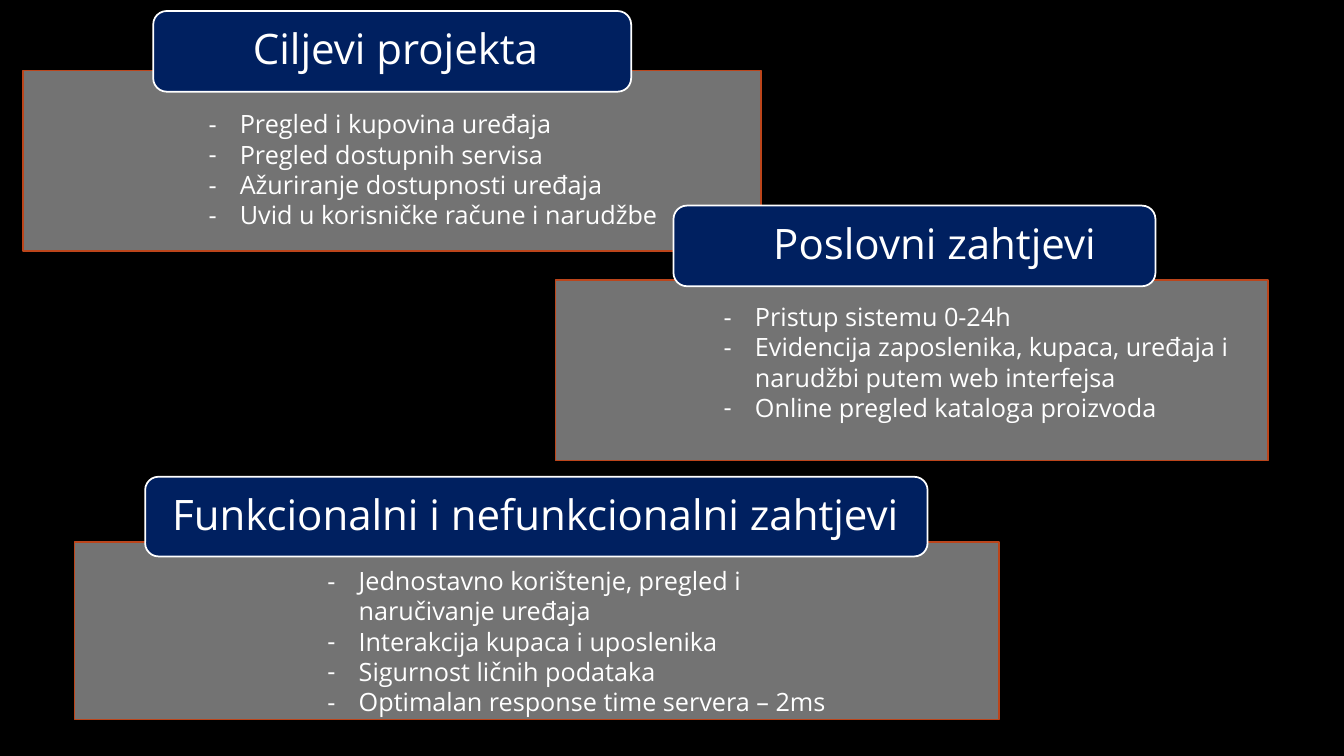
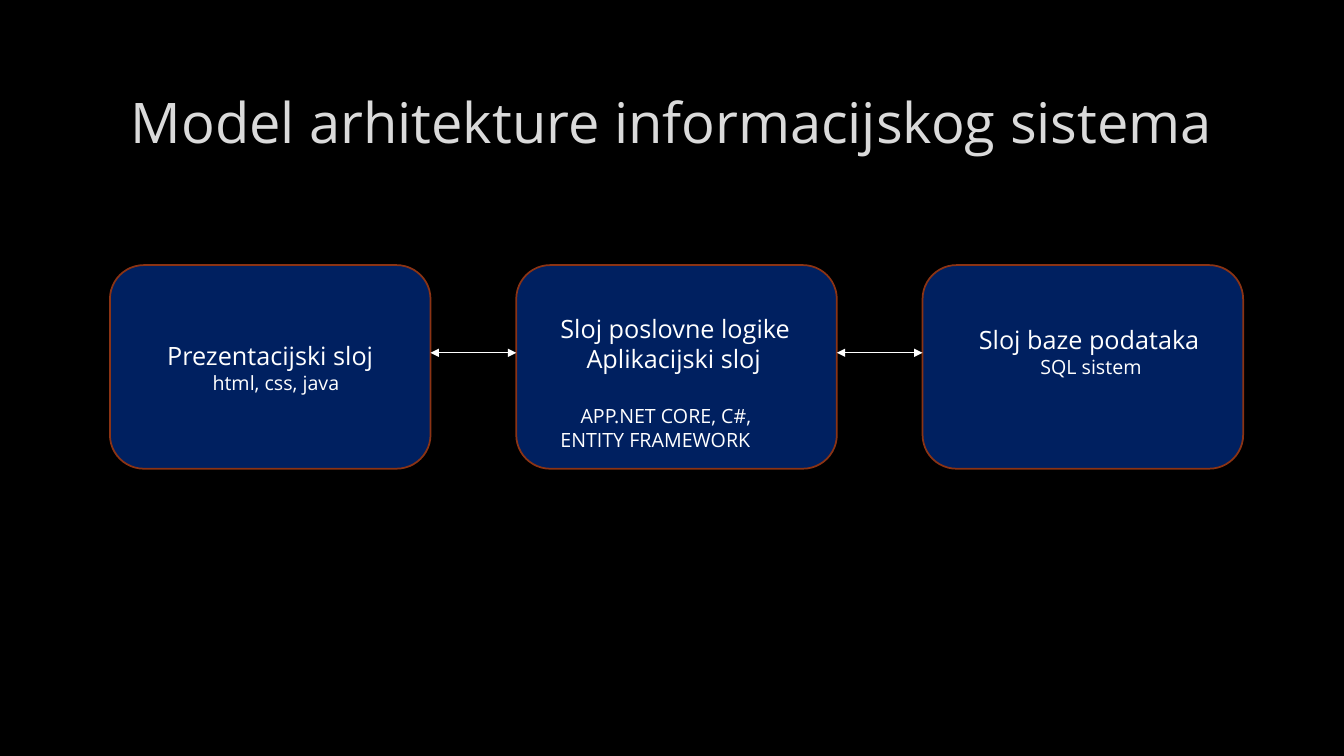
from lxml import etree
from pptx import Presentation
from pptx.dml.color import RGBColor
from pptx.enum import shapes, text
from pptx.oxml import ns
from pptx.util import Inches, Pt

FONT = "Open Sans"
BLACK, WHITE, NAVY = "000000", "FFFFFF", "002060"
GREY, TITLE_GREY = "808080", "DADADA"
ORANGE, RUST = "BC451B", "8B3314"
BULLET_INDENT = 0.31


def rgb(value):
    return RGBColor.from_string(value)


def sub(parent, tag, **attributes):
    return etree.SubElement(parent, ns.qn(tag), attributes)


def write(paragraph, words, size=18, color=WHITE, align=text.PP_ALIGN.LEFT,
          margin=0, first=0, bullet=None, before=0):
    """Fill one paragraph; margin and first-line indent are in inches."""
    run = paragraph.add_run()
    run.text = words
    run.font.name = FONT
    run.font.size = Pt(size)
    run.font.color.rgb = rgb(color)
    paragraph.alignment = align
    paragraph.space_before = Pt(before)
    properties = paragraph._p.get_or_add_pPr()
    properties.set("marL", str(Inches(margin)))
    properties.set("indent", str(Inches(first)))
    if bullet:
        sub(properties, "a:buFont", typeface=FONT)
        sub(properties, "a:buChar", char=bullet)


def add_lines(slide, box, lines):
    """Text box with one paragraph per (words, format) pair."""
    frame = slide.shapes.add_textbox(*map(Inches, box)).text_frame
    frame.word_wrap = True
    for i, (words, style) in enumerate(lines):
        write(frame.paragraphs[0] if i == 0 else frame.add_paragraph(), words, **style)


def add_block(slide, kind, box, fill, line, alpha=None):
    block = slide.shapes.add_shape(kind, *map(Inches, box))
    block.shadow.inherit = False
    block.fill.solid()
    block.fill.fore_color.rgb = rgb(fill)
    block.line.color.rgb = rgb(line)
    block.line.width = Pt(1.25)
    if alpha:
        color = block._element.spPr.find(ns.qn("a:solidFill"))[0]
        sub(color, "a:alpha", val=str(alpha * 1000))
    return block


def add_topic(slide, panel, tab, body, heading, indent, items):
    """Grey panel with a navy heading tab and a dashed list."""
    add_block(slide, shapes.MSO_SHAPE.RECTANGLE, panel, GREY, ORANGE, alpha=90)
    label = add_block(slide, shapes.MSO_SHAPE.ROUNDED_RECTANGLE, tab, NAVY, WHITE)
    frame = label.text_frame
    frame.margin_left = frame.margin_right = Inches(0.19)
    frame.margin_top = frame.margin_bottom = 0
    frame.vertical_anchor = text.MSO_ANCHOR.MIDDLE
    frame.paragraphs[0].line_spacing = 0.9
    write(frame.paragraphs[0], heading, size=30, margin=indent)
    dashed = dict(margin=BULLET_INDENT, first=-BULLET_INDENT, bullet="-")
    add_lines(slide, body, [(item, dashed) for item in items])


def add_layer(slide, card, offset, text_width, lines):
    """Rounded card with its text placed at an offset from the corner."""
    left, top, _, height = card
    add_block(slide, shapes.MSO_SHAPE.ROUNDED_RECTANGLE, card, NAVY, RUST)
    dx, dy = offset
    add_lines(slide, (left + dx, top + dy, text_width, height - dy), lines)


def add_double_arrow(slide, start, end, y):
    arrow = slide.shapes.add_connector(
        shapes.MSO_CONNECTOR.STRAIGHT, *map(Inches, (start, y, end, y)))
    arrow.line.color.rgb = rgb(WHITE)
    arrow.line.width = Pt(0.75)
    line = arrow.line._get_or_add_ln()
    for tip in ("a:headEnd", "a:tailEnd"):
        sub(line, tip, type="triangle")
    sub(arrow._element.spPr, "a:effectLst")


def add_title(slide, box, words):
    title = slide.shapes.title
    title.left, title.top, title.width, title.height = map(Inches, box)
    title.text_frame.vertical_anchor = text.MSO_ANCHOR.MIDDLE
    write(title.text_frame.paragraphs[0], words, size=40, color=TITLE_GREY,
          align=text.PP_ALIGN.CENTER)


def build_goals(prs):
    slide = prs.slides.add_slide(prs.slide_layouts[6])
    add_topic(slide, (0.23, 0.7, 7.32, 1.79), (1.52, 0.11, 4.74, 0.8),
              (1.97, 1.03, 4.68, 1.4), "Ciljevi projekta", 0.76,
              ["Pregled i kupovina uređaja", "Pregled dostupnih servisa",
               "Ažuriranje dostupnosti uređaja",
               "Uvid u korisničke račune i narudžbe"])
    add_topic(slide, (5.51, 2.78, 7.07, 1.79), (6.68, 2.04, 4.78, 0.8),
              (7.08, 2.94, 5.33, 1.31), "Poslovni zahtjevi", 0.76,
              ["Pristup sistemu 0-24h",
               "Evidencija zaposlenika, kupaca, uređaja i narudžbi putem web interfejsa",
               "Online pregled kataloga proizvoda"])
    add_topic(slide, (0.74, 5.38, 9.17, 1.76), (1.44, 4.73, 7.76, 0.79),
              (3.15, 5.56, 5.17, 1.6), "Funkcionalni i nefunkcionalni zahtjevi", 0.04,
              ["Jednostavno korištenje, pregled i naručivanje uređaja",
               "Interakcija kupaca i uposlenika", "Sigurnost ličnih podataka",
               "Optimalan response time servera – 2ms"])


def build_architecture(prs):
    slide = prs.slides.add_slide(prs.slide_layouts[5])
    add_title(slide, (1, 0.67, 11.32, 1.06), "Model arhitekture informacijskog sistema")

    # Layers: text offset, text width, lines
    layers = [
        ((0.47, 0.7), 2.34, [("Prezentacijski sloj", {}),
                             ("html, css, java", dict(size=14, margin=0.45))]),
        ((0.34, 0.43), 2.5, [("Sloj poslovne logike", {}),
                             ("Aplikacijski sloj", dict(margin=0.26)),
                             ("APP.NET CORE, C#, ENTITY FRAMEWORK",
                              dict(size=14, first=0.2, before=21.5))]),
        ((0.46, 0.54), 2.41, [("Sloj baze podataka", {}),
                              ("SQL sistem", dict(size=14, margin=0.61))]),
    ]
    left, top, width, height, gap = 1.09, 2.63, 3.18, 2.02, 0.85
    for i, (offset, text_width, lines) in enumerate(layers):
        x = left + i * (width + gap)
        add_layer(slide, (x, top, width, height), offset, text_width, lines)
        if i:
            add_double_arrow(slide, x - gap, x, 3.5)


prs = Presentation()
prs.slide_width, prs.slide_height = Inches(13.33), Inches(7.5)
backdrop = prs.slide_master.background.fill
backdrop.solid()
backdrop.fore_color.rgb = rgb(BLACK)
build_goals(prs)
build_architecture(prs)
prs.save("out.pptx")
